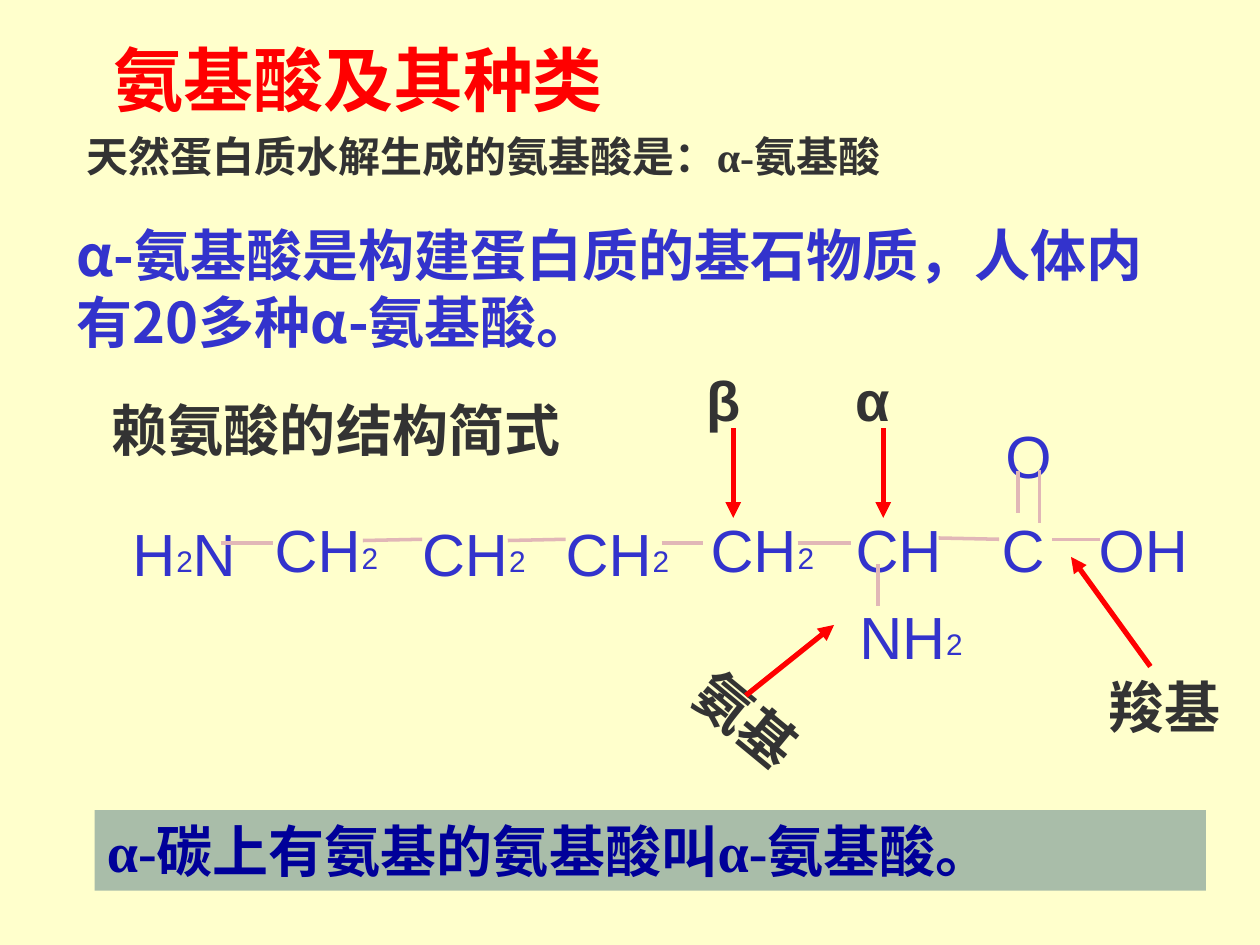
from lxml import etree
from pptx import Presentation
from pptx.dml.color import RGBColor
from pptx.enum.shapes import MSO_CONNECTOR, MSO_SHAPE
from pptx.enum.text import MSO_ANCHOR, PP_ALIGN
from pptx.oxml.ns import qn
from pptx.util import Inches, Pt

LINE = MSO_CONNECTOR.STRAIGHT
RECT = MSO_SHAPE.RECTANGLE
MIDDLE = MSO_ANCHOR.MIDDLE
LEFT = PP_ALIGN.LEFT

SANS = "Noto Sans CJK SC"
SERIF = "Times New Roman"
ARIAL = "Arial"
BLUE = "3333CC"
GRAY = "333333"
RED = "FF0000"
PINK = "E1B7B7"


def color(code):
    return RGBColor.from_string(code)


def write(shape, text, size, face, code, bold=True):
    frame = shape.text_frame
    frame.word_wrap = True
    frame.text = text
    para = frame.paragraphs[0]
    para.alignment = LEFT
    font = para.runs[0].font
    font.size = Pt(size)
    font.name = face
    font.bold = bold
    font.color.rgb = color(code)
    return frame


deck = Presentation()
deck.slide_width = Inches(10)
deck.slide_height = Inches(7.5)
slide = deck.slides.add_slide(deck.slide_layouts[5])
slide.background.fill.solid()
slide.background.fill.fore_color.rgb = color("FFFFCC")
shapes = slide.shapes

title = shapes.title
title.left, title.top = Inches(0.8), Inches(0.13)
title.width, title.height = Inches(8.03), Inches(0.98)
frame = write(title, "氨基酸及其种类", 40, SERIF, RED)
frame.vertical_anchor = MIDDLE

labels = [
    ("天然蛋白质水解生成的氨基酸是：α-氨基酸", 0.59, 0.99, 8.35, 0.5, 24, SERIF, GRAY, 0),
    ("α-氨基酸是构建蛋白质的基石物质，人体内有20多种α-氨基酸。",
     0.51, 1.7, 9.06, 1.17, 32, SANS, BLUE, 0),
    ("赖氨酸的结构简式", 0.79, 3.09, 8.11, 0.64, 32, SANS, GRAY, 0),
    ("β", 5.51, 2.85, 0.71, 0.64, 32, ARIAL, GRAY, 0),
    ("α", 6.69, 2.85, 0.71, 0.64, 32, ARIAL, GRAY, 0),
    ("氨基", 5.35, 5.47, 1.34, 0.64, 32, ARIAL, GRAY, 39.6),
    ("羧基", 8.7, 5.29, 1.3, 0.64, 32, ARIAL, GRAY, 0),
]
for text, x, y, w, h, size, face, code, turn in labels:
    box = shapes.add_textbox(Inches(x), Inches(y), Inches(w), Inches(h))
    box.rotation = turn
    write(box, text, size, face, code)

atoms = [
    ("H", 1.05, 4.1, True), ("N", 1.53, 4.1, False),
    ("CH", 2.18, 4.07, True), ("CH", 3.35, 4.1, True),
    ("CH", 4.49, 4.1, True), ("CH", 5.64, 4.07, True),
    ("CH", 6.79, 4.07, False), ("C", 7.95, 4.07, False),
    ("O", 7.98, 3.33, False), ("OH", 8.72, 4.07, False),
    ("NH", 6.82, 4.76, True),
]
parts = []
for text, x, y, sub in atoms:
    count = len(text)
    parts.append((text, x, y, 0.37 * count, 0.57, 34))
    if sub:
        parts.append(("2", x + 0.34 * count + 0.01, y + 0.21, 0.15, 0.28, 17))
for text, x, y, w, h, size in parts:
    box = shapes.add_textbox(Inches(x), Inches(y), Inches(w), Inches(h))
    frame = write(box, text, size, ARIAL, BLUE, False)
    frame.margin_left = frame.margin_right = 0
    frame.margin_top = frame.margin_bottom = 0

bonds = [
    (1.75, 4.31, 2.17, 4.31), (2.88, 4.29, 3.35, 4.28),
    (4.03, 4.29, 4.49, 4.28), (5.25, 4.31, 5.58, 4.31),
    (6.33, 4.31, 6.75, 4.31), (7.45, 4.27, 7.93, 4.28),
    (8.35, 4.28, 8.73, 4.28), (8.08, 4.07, 8.08, 3.74),
    (8.25, 4.15, 8.25, 3.73), (6.97, 4.48, 6.97, 4.81),
]
arrows = [
    (5.82, 3.4, 5.82, 4.11), (7.01, 3.4, 7.01, 4.11),
    (5.92, 5.52, 6.62, 4.96), (9.13, 5.29, 8.5, 4.42),
]
for ends, code, width, head in ((bonds, PINK, 2, False), (arrows, RED, 3, True)):
    for x1, y1, x2, y2 in ends:
        link = shapes.add_connector(LINE, Inches(x1), Inches(y1), Inches(x2), Inches(y2))
        link.line.color.rgb = color(code)
        link.line.width = Pt(width)
        if head:
            tip = etree.SubElement(link.line._get_or_add_ln(), qn("a:tailEnd"))
            tip.set("type", "triangle")
        etree.SubElement(link._element.spPr, qn("a:effectLst"))

bar = shapes.add_shape(RECT, Inches(0.75), Inches(6.43), Inches(8.82), Inches(0.64))
bar.shadow.inherit = False
bar.fill.solid()
bar.fill.fore_color.rgb = color("A9BDA9")
bar.line.fill.background()
write(bar, "α-碳上有氨基的氨基酸叫α-氨基酸。", 32, SERIF, "000099")

deck.save("out.pptx")
